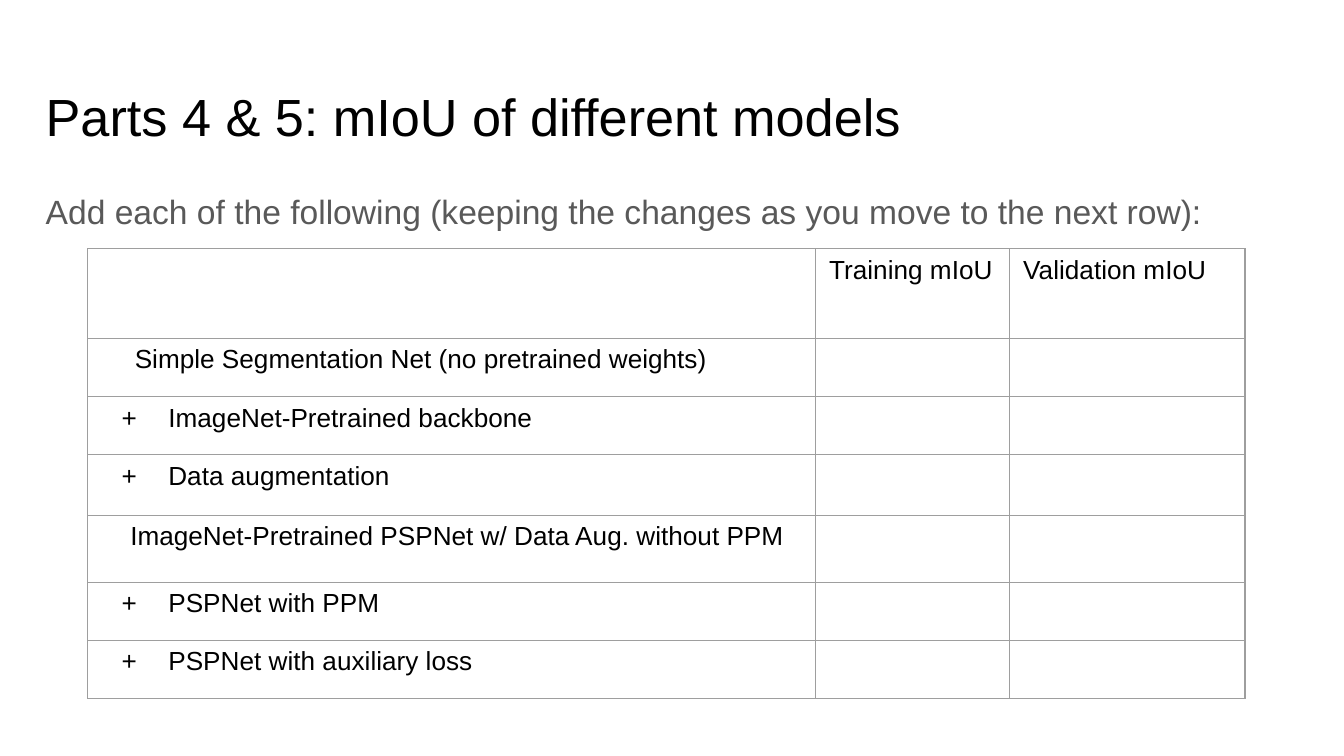
"""Builds the slide comparing mIoU across segmentation models."""
from dataclasses import dataclass

import lxml.etree
import pptx
import pptx.dml.color
import pptx.oxml.ns
import pptx.util

Pt = pptx.util.Pt
qn = pptx.oxml.ns.qn
COLORS = {"ink": "000000", "muted": "595959", "grid": "9E9E9E"}
FONT = "Arial"


@dataclass
class Caption:
    text: str
    top: float
    height: float
    size: float
    color: str
    inset_top: float
    line_spacing: float = 1.0


@dataclass
class ModelRow:
    name: str
    height: float = 31.2
    indent: float = 0
    added: bool = False


CAPTIONS = [
    Caption("Parts 4 & 5: mIoU of different models", 35.3, 45.4, 28, "ink", 9.8),
    Caption("Add each of the following (keeping the changes as you move to the next row):",
            90.7, 269.3, 18, "muted", 8.2, 1.15),
]
HEADINGS = ["", "Training mIoU", "Validation mIoU"]
HEADING_HEIGHT = 48
COLUMN_WIDTHS = [390, 104, 126]
MODELS = [
    ModelRow("Simple Segmentation Net (no pretrained weights)", indent=18),
    ModelRow("ImageNet-Pretrained backbone", added=True),
    ModelRow("Data augmentation", height=32.5, added=True),
    ModelRow("ImageNet-Pretrained PSPNet w/ Data Aug. without PPM", height=35.8, indent=15.6),
    ModelRow("PSPNet with PPM", added=True),
    ModelRow("PSPNet with auxiliary loss", added=True),
]


def add_run(paragraph, text: str, size: float, color: str) -> None:
    run = paragraph.add_run()
    run.text = text
    run.font.name = FONT
    run.font.size = Pt(size)
    run.font.color.rgb = pptx.dml.color.RGBColor.from_string(COLORS[color])


def add_caption(slide, caption: Caption) -> None:
    box = slide.shapes.add_textbox(Pt(24.5), Pt(caption.top), Pt(671), Pt(caption.height))
    frame = box.text_frame
    frame.word_wrap = True
    frame.margin_left = frame.margin_right = Pt(0)
    frame.margin_top, frame.margin_bottom = Pt(caption.inset_top), Pt(7.2)
    paragraph = frame.paragraphs[0]
    paragraph.line_spacing = caption.line_spacing
    add_run(paragraph, caption.text, caption.size, caption.color)


def set_borders(cell) -> None:
    properties = cell._tc.get_or_add_tcPr()
    for side in ("a:lnL", "a:lnR", "a:lnT", "a:lnB"):
        line = lxml.etree.SubElement(properties, qn(side), w=str(Pt(0.75)))
        fill = lxml.etree.SubElement(line, qn("a:solidFill"))
        lxml.etree.SubElement(fill, qn("a:srgbClr"), val=COLORS["grid"])


def indent_model(paragraph, model: ModelRow) -> None:
    properties = paragraph._p.get_or_add_pPr()
    properties.set("marL", str(Pt(36 if model.added else model.indent)))
    properties.set("indent", str(Pt(-25 if model.added else 0)))
    if model.added:
        bullet_color = lxml.etree.SubElement(properties, qn("a:buClr"))
        lxml.etree.SubElement(bullet_color, qn("a:srgbClr"), val=COLORS["ink"])
        lxml.etree.SubElement(properties, qn("a:buFont"), typeface=FONT)
        lxml.etree.SubElement(properties, qn("a:buChar"), char="+")


def add_results(slide, models: list[ModelRow]) -> None:
    heights = [HEADING_HEIGHT] + [model.height for model in models]
    results = slide.shapes.add_table(
        len(heights), len(COLUMN_WIDTHS), Pt(47), Pt(133.3),
        Pt(sum(COLUMN_WIDTHS)), Pt(sum(heights))).table
    results.first_row = results.horz_banding = False
    for column, width in zip(results.columns, COLUMN_WIDTHS):
        column.width = Pt(width)
    for row, height in zip(results.rows, heights):
        row.height = Pt(height)
    for cell in results.iter_cells():
        cell.margin_left = cell.margin_right = Pt(7.2)
        cell.margin_top = cell.margin_bottom = Pt(3.6)
        set_borders(cell)
        cell.fill.background()
    for index, heading in enumerate(HEADINGS):
        if heading:
            add_run(results.cell(0, index).text_frame.paragraphs[0], heading, 14, "ink")
    for index, model in enumerate(models, start=1):
        paragraph = results.cell(index, 0).text_frame.paragraphs[0]
        indent_model(paragraph, model)
        add_run(paragraph, model.name, 14, "ink")


def main() -> None:
    presentation = pptx.Presentation()
    presentation.slide_width, presentation.slide_height = Pt(720), Pt(405)
    slide = presentation.slides.add_slide(presentation.slide_layouts[6])
    for caption in CAPTIONS:
        add_caption(slide, caption)
    add_results(slide, MODELS)
    presentation.save("out.pptx")


if __name__ == "__main__":
    main()
